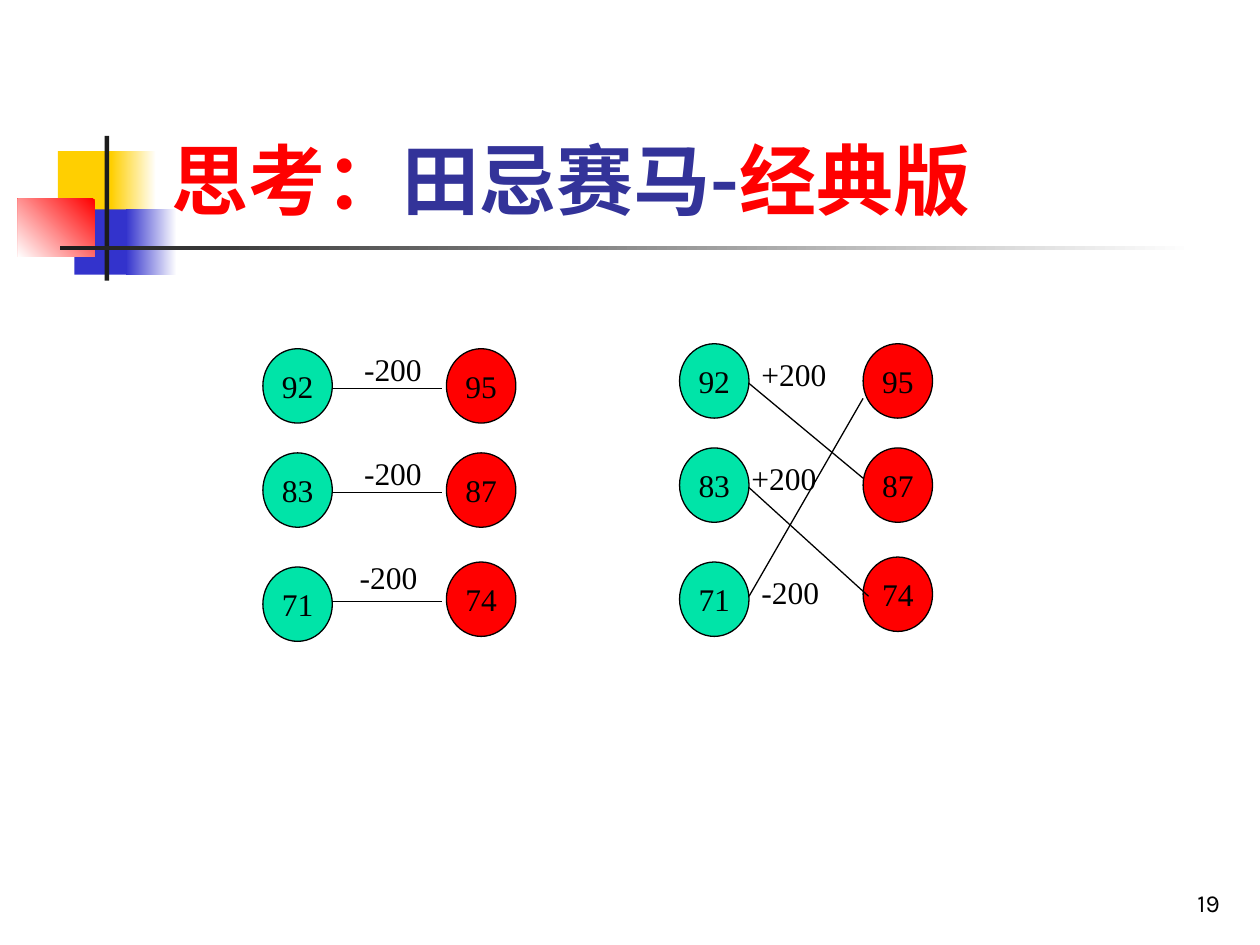
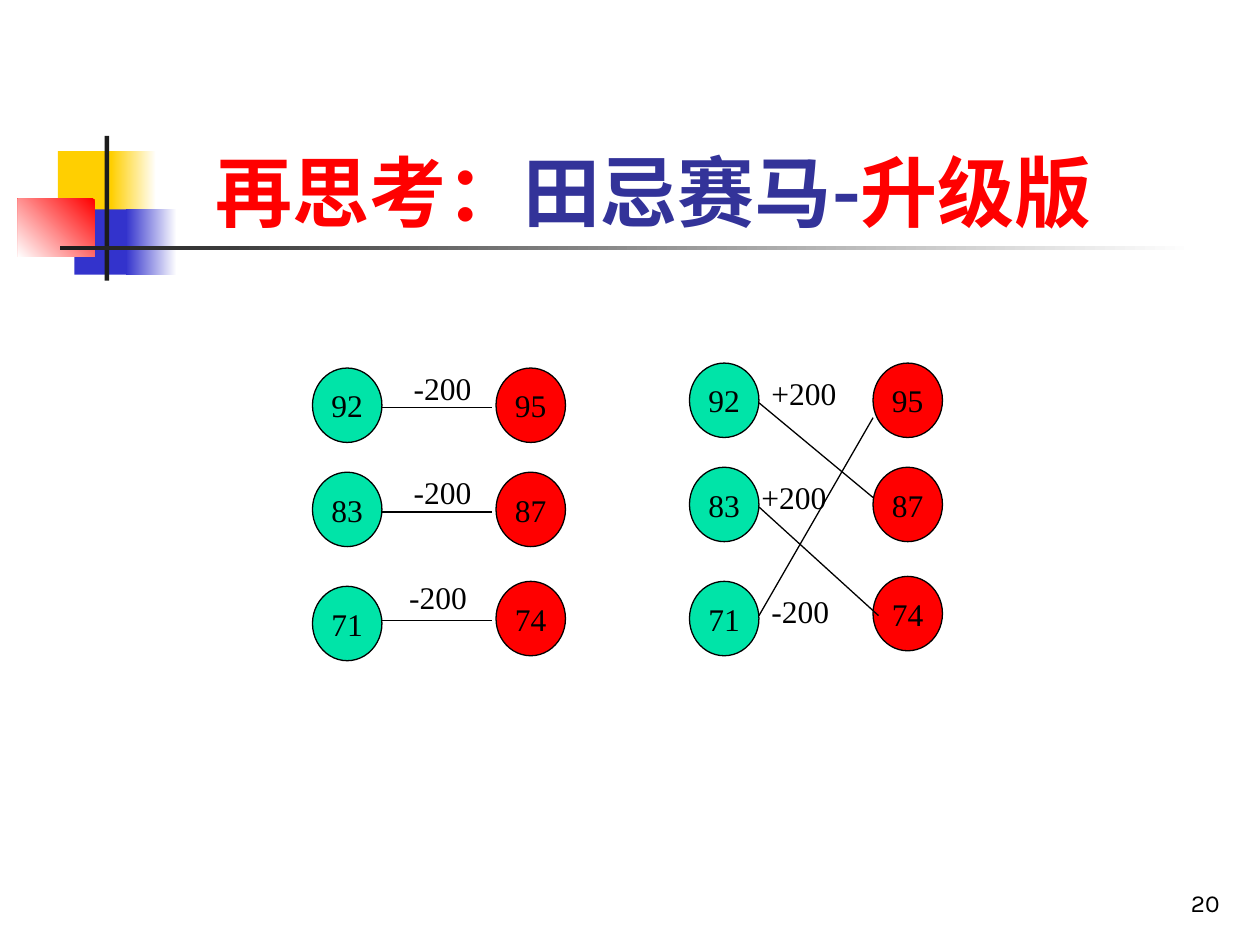
from lxml import etree
from pptx import Presentation
from pptx.dml.color import RGBColor
from pptx.enum import lang, shapes, text
from pptx.oxml.ns import qn
from pptx.util import Cm, Pt

# Colours and fonts
WHITE = RGBColor(0xFF, 0xFF, 0xFF)
BLACK = RGBColor(0x00, 0x00, 0x00)
CHARCOAL = RGBColor(0x1C, 0x1C, 0x1C)
YELLOW = RGBColor(0xFF, 0xCF, 0x01)
BLUE = RGBColor(0x33, 0x33, 0xCC)
NAVY = RGBColor(0x33, 0x33, 0x99)
RED = RGBColor(0xFF, 0x00, 0x00)
GREEN = RGBColor(0x00, 0xE4, 0xA8)

TITLE_FONT = {"name": "Karla", "size": Pt(44), "bold": True,
              "language_id": lang.MSO_LANGUAGE_ID.SIMPLIFIED_CHINESE}
NUMBER_FONT = {"name": "Karla", "size": Pt(14)}
BOARD_FONT = {"name": "Times New Roman", "size": Pt(18)}

# Corner ornament: box in cm, colours from start to end, clockwise angle
ORNAMENT = [
    ((1.17, 3.05, 1.22, 1.32), [YELLOW], 0),
    ((2.24, 3.05, 0.91, 1.32), [WHITE, YELLOW], 180),
    ((1.5, 4.22, 1.17, 1.32), [BLUE], 0),
    ((2.54, 4.22, 1.02, 1.32), [WHITE, BLUE], 180),
    ((0.36, 4.01, 1.55, 1.17), [RED, WHITE], 135),
    ((2.11, 2.74, 0.09, 2.92), [CHARCOAL], 0),
    ((1.22, 4.95, 22.86, 0.09), [WHITE, CHARCOAL], 180),
]

# Horses: scores by team, with column offset and row offsets in cm
HORSE_W, HORSE_H = 1.4, 1.5
TEAMS = [
    (GREEN, 0, [("92", 0), ("83", 2.1), ("71", 4.4)]),
    (RED, 3.7, [("95", 0), ("87", 2.1), ("74", 4.3)]),
]

# Pairings, relative to the board: races (x1, y1, x2, y2), stakes (text, x, y, width)
STRAIGHT = {
    "races": [(HORSE_W, y, 3.61, y) for y in (0.8, 2.9, 5.09)],
    "stakes": [("-200", 1.79, -0.1, 1.8), ("-200", 1.79, 2, 1.8),
               ("-200", 1.7, 4.1, 1.8)],
}
CROSSED = {
    "races": [(HORSE_W, 0.8, 3.7, 2.71), (HORSE_W, 2.9, 3.81, 5.09),
              (HORSE_W, 5.09, 3.7, 1.1)],
    "stakes": [("-200", 1.4, 4.5, 1.8), ("+200", 1.2, 2.2, 2.1),
               ("+200", 1.4, 0.1, 2)],
}

# Slides: number, title box, title runs, boards (left, top, pairing)
SLIDES = [
    ("19", (3.2, 2.13, 21.64, 2.54),
     [("思考：", RED), ("田忌赛马-", NAVY), ("经典版", RED)],
     [(5.3, 7.03, STRAIGHT), (13.7, 6.93, CROSSED)]),
    ("20", (4.09, 1.73, 18.8, 3.18),
     [("再思考：", RED), ("田忌赛马-", NAVY), ("升级版", RED)],
     [(6.3, 7.42, STRAIGHT), (13.9, 7.32, CROSSED)]),
]


def cm(lengths):
    return [Cm(length) for length in lengths]


def set_formats(target, formats):
    for attribute, value in formats.items():
        setattr(target, attribute, value)


class Deck:
    def __init__(self):
        self.prs = Presentation()
        set_formats(self.prs, {"slide_width": Cm(25.4), "slide_height": Cm(19.05)})
        self.slide = self.canvas = None

    def new_slide(self):
        self.slide = self.prs.slides.add_slide(self.prs.slide_layouts[5])
        self.canvas = self.slide.shapes

    def add_runs(self, paragraph, runs, font):
        for words, color in runs:
            run = paragraph.add_run()
            run.text = words
            set_formats(run.font, font)
            run.font.color.rgb = color

    def title(self, box, runs):
        title = self.slide.shapes.title
        set_formats(title, dict(zip(("left", "top", "width", "height"), cm(box))))
        set_formats(title.text_frame, {"vertical_anchor": text.MSO_ANCHOR.BOTTOM,
                                       "auto_size": text.MSO_AUTO_SIZE.NONE,
                                       "word_wrap": True})
        heading = title.text_frame.paragraphs[0]
        heading.alignment = text.PP_ALIGN.LEFT
        self.add_runs(heading, runs, TITLE_FONT)
        # Bring the title in front of the ornament
        self.slide.shapes._spTree.append(title._element)

    def block(self, box, colors, angle):
        block = self.canvas.add_shape(shapes.MSO_SHAPE.RECTANGLE, *cm(box))
        block.shadow.inherit = False
        block.line.fill.background()
        if len(colors) == 1:
            block.fill.solid()
            block.fill.fore_color.rgb = colors[0]
            return
        block.fill.gradient()
        block.fill.gradient_angle = (360 - angle) % 360
        for stop, color in zip(block.fill.gradient_stops, colors):
            stop.color.rgb = color

    def horse(self, x, y, score, color):
        horse = self.canvas.add_shape(shapes.MSO_SHAPE.OVAL,
                                      *cm((x, y, HORSE_W, HORSE_H)))
        horse.shadow.inherit = False
        horse.fill.solid()
        horse.fill.fore_color.rgb = color
        horse.line.color.rgb = BLACK
        horse.line.width = Pt(0.75)
        set_formats(horse.text_frame, {"word_wrap": False,
                                       "vertical_anchor": text.MSO_ANCHOR.MIDDLE})
        label = horse.text_frame.paragraphs[0]
        label.alignment = text.PP_ALIGN.CENTER
        self.add_runs(label, [(score, BLACK)], BOARD_FONT)

    def race(self, *ends):
        race = self.canvas.add_connector(shapes.MSO_CONNECTOR.STRAIGHT, *cm(ends))
        race.line.color.rgb = BLACK
        race.line.width = Pt(0.75)
        etree.SubElement(race._element.spPr, qn("a:effectLst"))

    def note(self, box, words, font, frame_format, paragraph_format):
        frame = self.canvas.add_textbox(*cm(box)).text_frame
        set_formats(frame, {"word_wrap": True, **frame_format})
        set_formats(frame.paragraphs[0], paragraph_format)
        self.add_runs(frame.paragraphs[0], [(words, BLACK)], font)

    def board(self, left, top, pairing):
        self.canvas = self.slide.shapes.add_group_shape().shapes
        for color, dx, horses in TEAMS:
            for score, dy in horses:
                self.horse(left + dx, top + dy, score, color)
        for x1, y1, x2, y2 in pairing["races"]:
            self.race(left + x1, top + y1, left + x2, top + y2)
        for stake, dx, dy, width in pairing["stakes"]:
            self.note((left + dx, top + dy, width, 1.02), stake, BOARD_FONT,
                      {"auto_size": text.MSO_AUTO_SIZE.SHAPE_TO_FIT_TEXT},
                      {"space_before": Pt(11.2)})
        self.canvas = self.slide.shapes

    def page_number(self, number):
        self.note((19.56, 17.35, 5.28, 1.27), number, NUMBER_FONT,
                  {"vertical_anchor": text.MSO_ANCHOR.BOTTOM},
                  {"alignment": text.PP_ALIGN.RIGHT})


def main():
    deck = Deck()
    for number, title_box, title_runs, boards in SLIDES:
        deck.new_slide()
        for block in ORNAMENT:
            deck.block(*block)
        deck.title(title_box, title_runs)
        for board in boards:
            deck.board(*board)
        deck.page_number(number)
    deck.prs.save("out.pptx")


if __name__ == "__main__":
    main()
